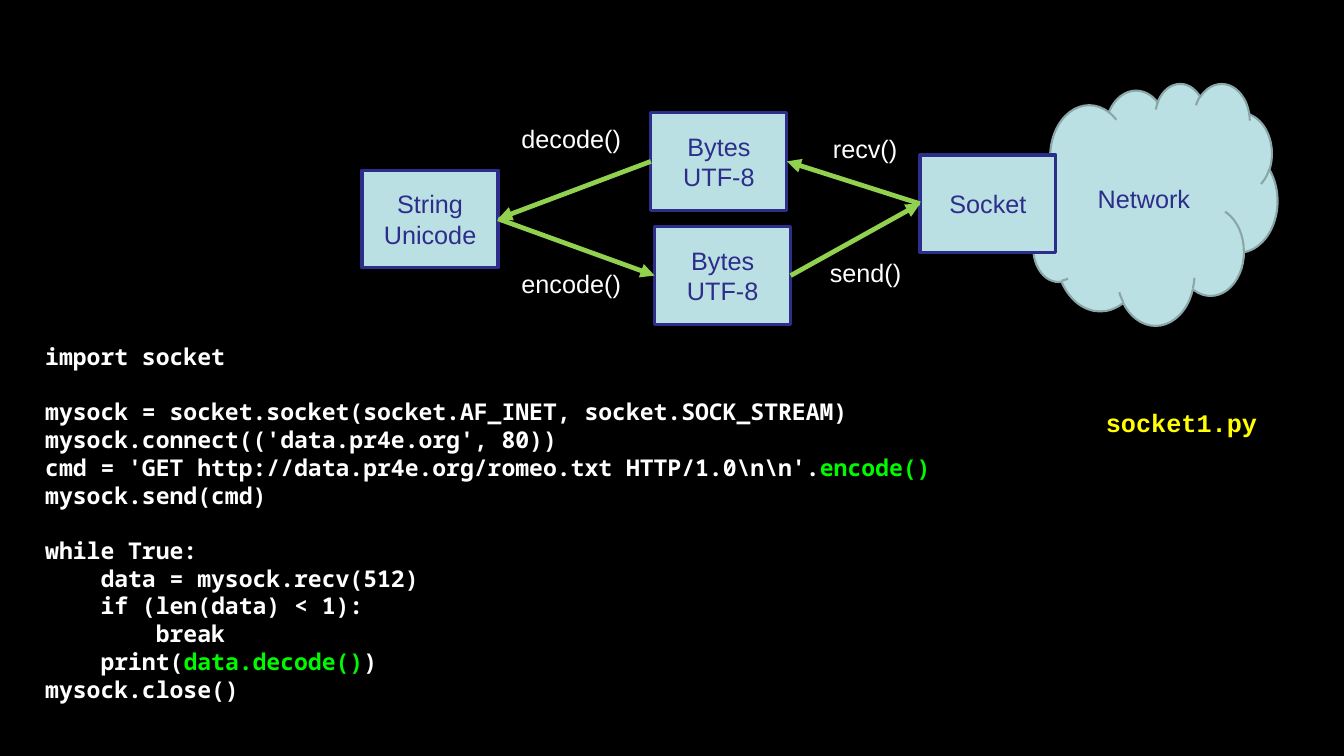
"""Build a slide on encoding and decoding text sent through a socket."""
import pptx
import pptx.util
import pptx.dml.color
import pptx.enum.shapes
import pptx.enum.text
import lxml.etree

Pt = pptx.util.Pt
Kind = pptx.enum.shapes.MSO_SHAPE
Text = pptx.enum.text
theme = {
    "back": "000000", "fill": "BBE0E3", "edge": "2D2D8A", "rim": "8AA6A8",
    "arrow": "92D050", "white": "FFFFFF", "green": "00FA00", "gold": "FFFF00",
    "sans": "Arial", "mono": "Noto Sans Mono", "file": "Courier New",
    "body": 24, "code": 22, "lead": 26.4,
}
tint = {name: pptx.dml.color.RGBColor.from_string(theme[name])
        for name in ("back", "fill", "edge", "rim", "arrow", "white", "green", "gold")}

deck = pptx.Presentation()
deck.slide_width = pptx.util.Inches(17.78)
deck.slide_height = pptx.util.Inches(10)
col, row = deck.slide_width / 100, deck.slide_height / 100
slide = deck.slides.add_slide(deck.slide_layouts[6])
slide.background.fill.solid()
slide.background.fill.fore_color.rgb = tint["back"]


def grid(left, top, wide, high):
    return [int(n) for n in (left * col, top * row, wide * col, high * row)]


def style(para, face, size, color, bold=False):
    para.font.name = theme[face]
    para.font.size = Pt(theme[size])
    para.font.color.rgb = tint[color]
    para.font.bold = bold


wide, high = 10.12, 12.9
nodes = {}
for name, kind, spot, lines, edge, thick in (
    ("cloud", Kind.CLOUD, (76.49, 11, 18.56, 32), ["Network"], "rim", 2),
    ("socket", Kind.RECTANGLE, (68.45, 20.5, wide, high), ["Socket"], "edge", 3),
    ("input", Kind.RECTANGLE, (48.43, 14.9, wide, high), ["Bytes", "UTF-8"], "edge", 3),
    ("string", Kind.RECTANGLE, (26.94, 22.5, wide, high), ["String", "Unicode"], "edge", 3),
    ("output", Kind.RECTANGLE, (48.71, 30, wide, high), ["Bytes", "UTF-8"], "edge", 3),
):
    node = nodes[name] = slide.shapes.add_shape(kind, *grid(*spot))
    node.shadow.inherit = False
    node.fill.solid()
    node.fill.fore_color.rgb = tint["fill"]
    node.line.color.rgb = tint[edge]
    node.line.width = Pt(thick)
    frame = node.text_frame
    frame.text = "\n".join(lines)
    frame.vertical_anchor = Text.MSO_ANCHOR.MIDDLE
    for para in frame.paragraphs:
        para.alignment = Text.PP_ALIGN.CENTER
        style(para, "sans", "body", "edge")

west, east = 1, 3
draw = "{http://schemas.openxmlformats.org/drawingml/2006/main}"
for start, exit, end, entry in (
    ("string", east, "output", west),
    ("socket", west, "input", east),
    ("output", east, "socket", west),
    ("input", west, "string", east),
):
    arrow = slide.shapes.add_connector(pptx.enum.shapes.MSO_CONNECTOR.STRAIGHT, 0, 0, 0, 0)
    arrow.begin_connect(nodes[start], exit)
    arrow.end_connect(nodes[end], entry)
    arrow.line.color.rgb = tint["arrow"]
    arrow.line.width = Pt(4.5)
    lxml.etree.SubElement(arrow.line._get_or_add_ln(), draw + "tailEnd", type="triangle")
    lxml.etree.SubElement(arrow._element.spPr, draw + "effectLst")

for text, left, top, span, face, color, bold in (
    ("recv()", 61.42, 17.2, 5.96, "sans", "white", False),
    ("decode()", 38.25, 15.8, 8.61, "sans", "white", False),
    ("encode()", 38.25, 35, 8.61, "sans", "white", False),
    ("send()", 61.19, 33.6, 6.52, "sans", "white", False),
    ("socket1.py", 81.72, 53.4, 12.49, "file", "gold", True),
):
    frame = slide.shapes.add_textbox(*grid(left, top, span, 5)).text_frame
    frame.word_wrap = False
    frame.auto_size = Text.MSO_AUTO_SIZE.SHAPE_TO_FIT_TEXT
    frame.text = text
    style(frame.paragraphs[0], "sans" if face == "sans" else face, "body", color, bold)

blocks = (
    [["import socket"]],
    [
        ["mysock = socket.socket(socket.AF_INET, socket.SOCK_STREAM)"],
        ["mysock.connect(('data.pr4e.org', 80))"],
        [r"cmd = 'GET http://data.pr4e.org/romeo.txt HTTP/1.0\n\n'.", "encode()"],
        ["mysock.send(cmd)"],
    ],
    [
        ["while True:"],
        ["    data = mysock.recv(512)"],
        ["    if (len(data) < 1):"],
        ["        break"],
        ["    print(", "data.decode()", ")"],
        ["mysock.close()"],
    ],
)
frame = slide.shapes.add_textbox(*grid(2.81, 44.8, 69.97, 49.1)).text_frame
frame.word_wrap = True
para = frame.paragraphs[0]
for b, block in enumerate(blocks):
    for n, line in enumerate(block):
        if b or n:
            para = frame.add_paragraph()
        if b and not n:
            para.space_before = Pt(theme["lead"])
        para.line_spacing = Pt(theme["lead"])
        style(para, "mono", "code", "white", True)
        for i, part in enumerate(line):
            run = para.add_run()
            run.text = part
            if i == 1:
                run.font.color.rgb = tint["green"]

deck.save("out.pptx")
